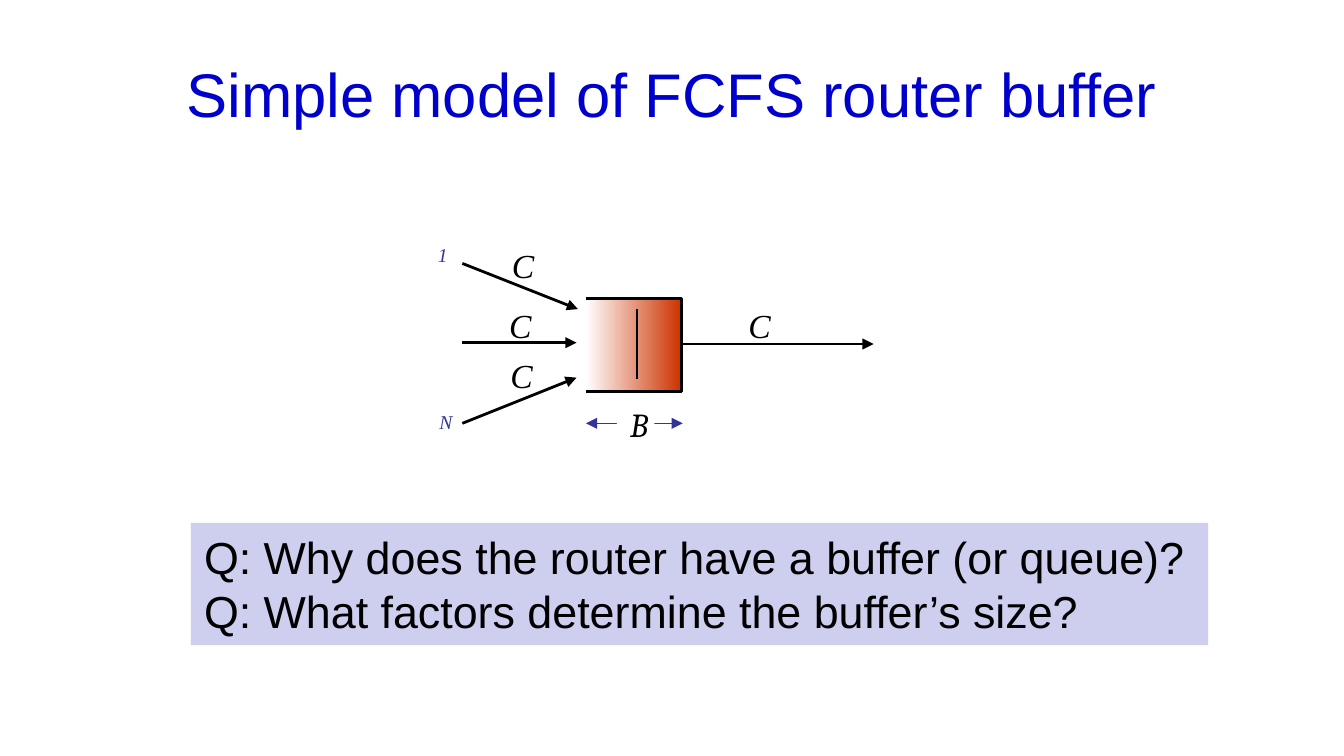
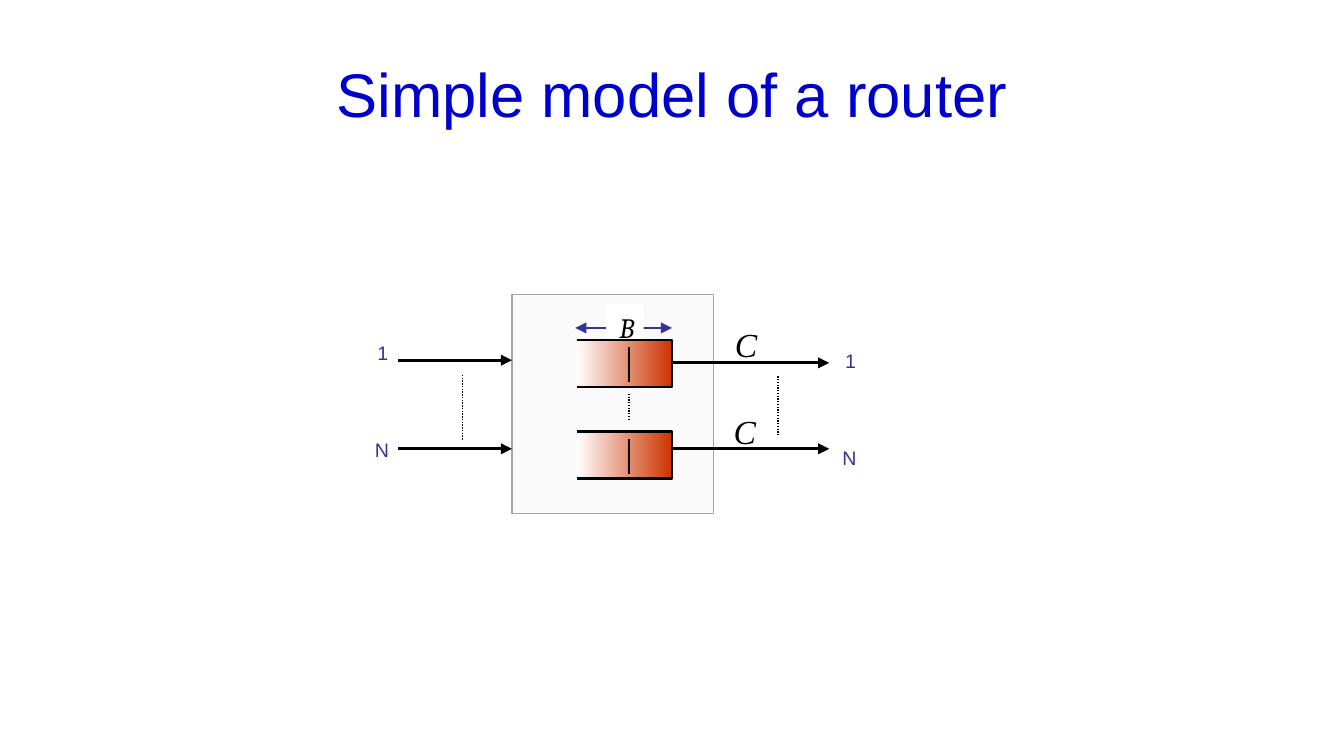
from dataclasses import dataclass

from lxml import etree
from pptx import Presentation, util as u
from pptx.dml.color import RGBColor
from pptx.enum import dml, shapes, text
from pptx.oxml.ns import qn

HUES = {
    "title": "0000CC", "ink": "000000", "note": "333399", "white": "FFFFFF",
    "queue": "CC3300", "ask": "CECEEF", "box": "F2F2F2", "edge": "A6A6A6",
}
SERIF, SANS, MATH = "Times New Roman", "Arial", "Cambria"
THICK, THIN = 1.5, 0.75
WIDE = u.Inches(10)
HIGH = WIDE * 9 // 16


@dataclass(frozen=True)
class Link:
    x1: float
    y1: float
    x2: float
    y2: float
    hue: str = "ink"
    width: float = THICK
    head: bool = False
    tail: bool = True
    dots: bool = False


@dataclass(frozen=True)
class Label:
    words: str
    left: float
    top: float


@dataclass(frozen=True)
class Queue:
    """A buffer open on its left, with a bar for one packet."""
    left: float
    top: float
    height: float
    bar: float
    bar_top: float
    bar_end: float
    width: float = 0.71


def rgb(hue: str) -> RGBColor:
    return RGBColor.from_string(HUES[hue])


def write(slide, words: str, left: float, top: float, width: float, height: float, *,
          size: float, font: str = SANS, hue: str = "ink", italic: bool = False,
          fill: str | None = None, wrap: bool = False, align=text.PP_ALIGN.LEFT,
          anchor=text.MSO_ANCHOR.TOP) -> None:
    area = [u.Inches(n) for n in (left, top, width, height)]
    if fill:
        box = slide.shapes.add_shape(shapes.MSO_SHAPE.RECTANGLE, *area)
        box.shadow.inherit = False
        box.fill.solid()
        box.fill.fore_color.rgb = rgb(fill)
        box.line.fill.background()
    else:
        box = slide.shapes.add_textbox(*area)
    frame = box.text_frame
    frame.text = words
    frame.word_wrap = wrap
    frame.vertical_anchor = anchor
    for par in frame.paragraphs:
        par.alignment = align
        par.font.size = u.Pt(size)
        par.font.name = font
        par.font.italic = italic
        par.font.color.rgb = rgb(hue)


def title(slide, words: str, left: float, width: float) -> None:
    write(slide, words, left, 0.22, width, 0.94, size=33, hue="title", wrap=True,
          align=text.PP_ALIGN.CENTER, anchor=text.MSO_ANCHOR.MIDDLE)


def join(group, link: Link) -> None:
    """Draw a straight line with its arrowheads."""
    ends = [u.Inches(n) for n in (link.x1, link.y1, link.x2, link.y2)]
    line = group.add_connector(shapes.MSO_CONNECTOR.STRAIGHT, *ends)
    line.line.color.rgb = rgb(link.hue)
    line.line.width = u.Pt(link.width)
    if link.dots:
        line.line.dash_style = dml.MSO_LINE.ROUND_DOT
    props = line._element.spPr
    for tag, shown in (("a:headEnd", link.head), ("a:tailEnd", link.tail)):
        if shown:
            etree.SubElement(props.find(qn("a:ln")), qn(tag), type="triangle")
    etree.SubElement(props, qn("a:effectLst"))


def span(slide, left: float, right: float, y: float, top: float, height: float,
         size: float) -> None:
    """Mark the buffer size B above or below a queue."""
    join(slide.shapes, Link(left, y, right, y, "note", THIN, head=True))
    write(slide, "B", left + 0.23, top, 0.28, height, size=size, font=MATH,
          italic=True, fill="white", wrap=True)


def store(slide, queue: Queue) -> None:
    """Draw a queue and its bar as one group."""
    group = slide.shapes.add_group_shape().shapes
    left, right = u.Inches(queue.left), u.Inches(queue.left + queue.width)
    top, base = u.Inches(queue.top), u.Inches(queue.top + queue.height)
    pen = group.build_freeform(left, top)
    pen.add_line_segments([(right, top), (right, base), (left, base)], close=False)
    body = pen.convert_to_shape()
    body.shadow.inherit = False
    body.fill.gradient()
    body.fill.gradient_angle = 0
    for stop, hue in zip(body.fill.gradient_stops, ("white", "queue")):
        stop.color.rgb = rgb(hue)
    body.line.color.rgb = rgb("ink")
    body.line.width = u.Pt(THICK)
    join(group, Link(queue.bar, queue.bar_top, queue.bar, queue.bar_end, tail=False))


def rates(slide, spots: list[tuple[float, float]]) -> None:
    """Place the link rate C at each spot."""
    for left, top in spots:
        write(slide, "C", left, top, 0.37, 0.4, size=18, font=SERIF, italic=True)


def ports(slide, labels: list[Label], font: str, italic: bool = False) -> None:
    for label in labels:
        width = 0.28 if label.words == "1" else 0.31
        write(slide, label.words, label.left, label.top, width, 0.28,
              size=10.5, font=font, hue="note", italic=italic)


def buffer(slide) -> None:
    title(slide, "Simple model of FCFS router buffer", 0, 10)
    span(slide, 4.36, 5.08, 3.15, 2.96, 0.4, 18)
    store(slide, Queue(4.36, 2.22, 0.69, 4.74, 2.3, 2.82))
    for link in (Link(3.44, 2.55, 4.29, 2.55), Link(5.06, 2.56, 6.5, 2.56),
                 Link(3.44, 3.15, 4.29, 2.81), Link(3.44, 1.96, 4.3, 2.3)):
        join(slide.shapes, link)
    rates(slide, [(5.47, 2.22), (3.71, 1.77), (3.69, 2.22), (3.7, 2.59)])
    ports(slide, [Label("1", 3.16, 1.76), Label("N", 3.17, 3)], SERIF, italic=True)
    write(slide, "Q: Why does the router have a buffer (or queue)?\n"
          "Q: What factors determine the buffer’s size?",
          1.42, 3.89, 7.57, 0.91, size=24, fill="ask")


def router(slide) -> None:
    area = [u.Inches(n) for n in (3.81, 2.19, 1.5, 1.63)]
    box = slide.shapes.add_shape(shapes.MSO_SHAPE.RECTANGLE, *area)
    box.shadow.inherit = False
    box.fill.solid()
    box.fill.fore_color.rgb = rgb("box")
    tint = box._element.spPr.find(qn("a:solidFill"))[0]
    etree.SubElement(tint, qn("a:alpha"), val="34000")
    box.line.color.rgb = rgb("edge")
    box.line.width = u.Pt(THIN)

    title(slide, "Simple model of a router", 0.5, 9)
    span(slide, 4.28, 5, 2.44, 2.26, 0.35, 15)
    for queue in (Queue(4.29, 2.53, 0.35, 4.68, 2.58, 2.84),
                  Queue(4.29, 3.21, 0.35, 4.68, 3.27, 3.53)):
        store(slide, queue)
    for into, out in ((2.68, 2.7), (3.34, 3.34)):
        join(slide.shapes, Link(2.96, into, 3.81, into))
        join(slide.shapes, Link(5, out, 6.17, out))
    for x, top, end in ((3.44, 2.79, 3.28), (4.68, 2.93, 3.12), (5.79, 2.8, 3.24)):
        join(slide.shapes, Link(x, top, x, end, width=THIN, tail=False, dots=True))
    ports(slide, [Label("1", 2.71, 2.49), Label("N", 2.69, 3.21),
                  Label("1", 6.19, 2.55), Label("N", 6.17, 3.27)], SANS)
    rates(slide, [(5.37, 2.36), (5.36, 3.01)])


def main() -> None:
    deck = Presentation()
    deck.slide_width, deck.slide_height = WIDE, HIGH
    blank = deck.slide_layouts[6]
    for draw in (buffer, router):
        draw(deck.slides.add_slide(blank))
    deck.save("out.pptx")


if __name__ == "__main__":
    main()
